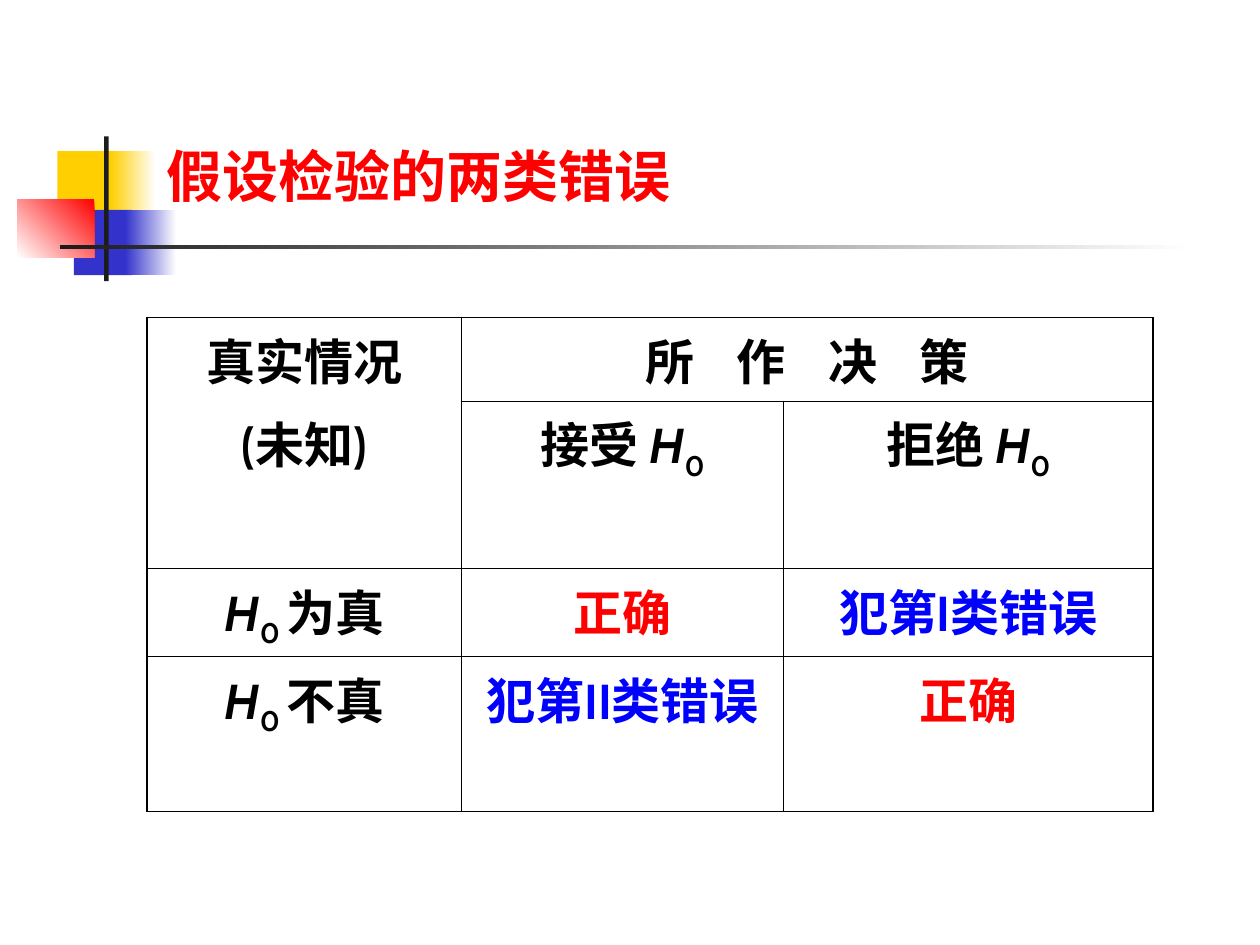
from lxml import etree
from pptx import Presentation
from pptx.dml.color import RGBColor
from pptx.enum import shapes, text
from pptx.oxml import ns
from pptx.util import Cm, Pt

WHITE = RGBColor(0xFF, 0xFF, 0xFF)
BLACK = RGBColor(0, 0, 0)
DARK = RGBColor(0x1C, 0x1C, 0x1C)
RED = RGBColor(0xFF, 0, 0)
BLUE = RGBColor(0, 0, 0xFF)
GOLD = RGBColor(0xFF, 0xCF, 0x01)
NAVY = RGBColor(0x33, 0x33, 0xCC)

OUTER, INNER = Pt(1.08), Pt(0.45)
COLS = (6.33, 6.5, 7.44)
ROWS = (1.68, 3.37, 1.78, 3.12)


def add_bar(slide, x, y, w, h, *hues, angle=180):
    """Draw a rectangle with one solid colour or a gradient of two."""
    bar = slide.shapes.add_shape(
        shapes.MSO_SHAPE.RECTANGLE, Cm(x), Cm(y), Cm(w), Cm(h))
    bar.shadow.inherit = False
    bar.line.fill.background()
    if len(hues) == 1:
        bar.fill.solid()
        bar.fill.fore_color.rgb = hues[0]
        return
    bar.fill.gradient()
    bar.fill.gradient_angle = angle
    for stop, hue in zip(bar.fill.gradient_stops, hues):
        stop.color.rgb = hue


def add_motif(slide, x, y):
    """Draw the overlapping squares and the crossed rules."""
    add_bar(slide, x + 0.81, y + 0.3, 1.22, 1.32, GOLD)
    add_bar(slide, x + 1.88, y + 0.3, 0.91, 1.32, WHITE, GOLD)
    add_bar(slide, x + 1.14, y + 1.48, 1.17, 1.32, NAVY)
    add_bar(slide, x + 2.18, y + 1.48, 1.02, 1.32, WHITE, NAVY)
    add_bar(slide, x, y + 1.27, 1.55, 1.17, RED, WHITE, angle=225)
    add_bar(slide, x + 1.75, y, 0.09, 2.92, DARK)
    add_bar(slide, x + 0.86, y + 2.19, 22.86, 0.09, WHITE, DARK)


def add_run(para, words, size, face, hue):
    run = para.add_run()
    run.text = words
    font = run.font
    font.size, font.name, font.bold = Pt(size), face, True
    font.color.rgb = hue
    return run


def add_title(slide, x, y, w, h):
    box = slide.shapes.add_textbox(Cm(x), Cm(y), Cm(w), Cm(h))
    frame = box.text_frame
    frame.word_wrap = True
    para = frame.paragraphs[0]
    para.space_before = Pt(20)
    add_run(para, "假设检验的两类错误", 32, "Times New Roman", RED)


def add_edge(cell, side, width):
    line = etree.SubElement(cell._tc.get_or_add_tcPr(), ns.qn("a:ln" + side),
                            w=str(int(width)))
    fill = etree.SubElement(line, ns.qn("a:solidFill"))
    etree.SubElement(fill, ns.qn("a:srgbClr"), val=str(BLACK))


def frame_cell(cell, row, col):
    """Give a cell thick edges on the rim of the table, thin ones inside."""
    rims = {
        "L": col == 0,
        "R": col + max(cell.span_width, 1) == len(COLS),
        "T": row == 0,
        "B": row + max(cell.span_height, 1) == len(ROWS),
    }
    for side, rim in rims.items():
        add_edge(cell, side, OUTER if rim else INNER)
    cell.fill.background()


def fill_cell(cell, lines, hue=BLACK, gap=0):
    """Write lines of runs; H is italic and a leading 0 is a subscript."""
    frame = cell.text_frame
    for num, runs in enumerate(lines):
        para = frame.add_paragraph() if num else frame.paragraphs[0]
        para.alignment = text.PP_ALIGN.CENTER
        para.space_before = Pt(7)
        for words in runs:
            font = add_run(para, words, 28, "Cabin", hue).font
            props = font._element
            if words == "H":
                font.italic = True
            elif words.startswith("0"):
                props.set("baseline", "-25000")
            if gap:
                props.set("spc", str(gap * 100))


def add_grid(slide, x, y):
    grid = slide.shapes.add_table(
        len(ROWS), len(COLS), Cm(x), Cm(y), Cm(sum(COLS)), Cm(sum(ROWS))).table
    grid.first_row = grid.horz_banding = False
    for col, width in zip(grid.columns, COLS):
        col.width = Cm(width)
    for row, height in zip(grid.rows, ROWS):
        row.height = Cm(height)
    grid.cell(0, 0).merge(grid.cell(1, 0))
    grid.cell(0, 1).merge(grid.cell(0, 2))

    fill_cell(grid.cell(0, 0), [["真实情况"], ["(未知)"]])
    fill_cell(grid.cell(0, 1), [["所 作 决 策"]], gap=9)
    for col, verb in enumerate(("接受 ", "拒绝 "), 1):
        fill_cell(grid.cell(1, col), [[verb, "H", "0"]])
    for row, state in enumerate(("为真", "不真"), 2):
        fill_cell(grid.cell(row, 0), [["H", "0 ", state]])
    for row, col, kind in ((2, 2, "I"), (3, 1, "II")):
        fill_cell(grid.cell(row, col), [[f"犯第{kind}类错误"]], BLUE)
        fill_cell(grid.cell(row, 3 - col), [["正确"]], RED)

    for row in range(len(ROWS)):
        for col in range(len(COLS)):
            cell = grid.cell(row, col)
            if not cell.is_spanned:
                frame_cell(cell, row, col)


def main():
    deck = Presentation()
    deck.slide_width, deck.slide_height = Cm(25.4), Cm(19.05)
    slide = deck.slides.add_slide(deck.slide_layouts[6])
    add_motif(slide, 0.35, 2.75)
    add_grid(slide, 2.97, 6.4)
    add_title(slide, 3.1, 2.72, 13.97, 1.63)
    deck.save("out.pptx")


if __name__ == "__main__":
    main()
